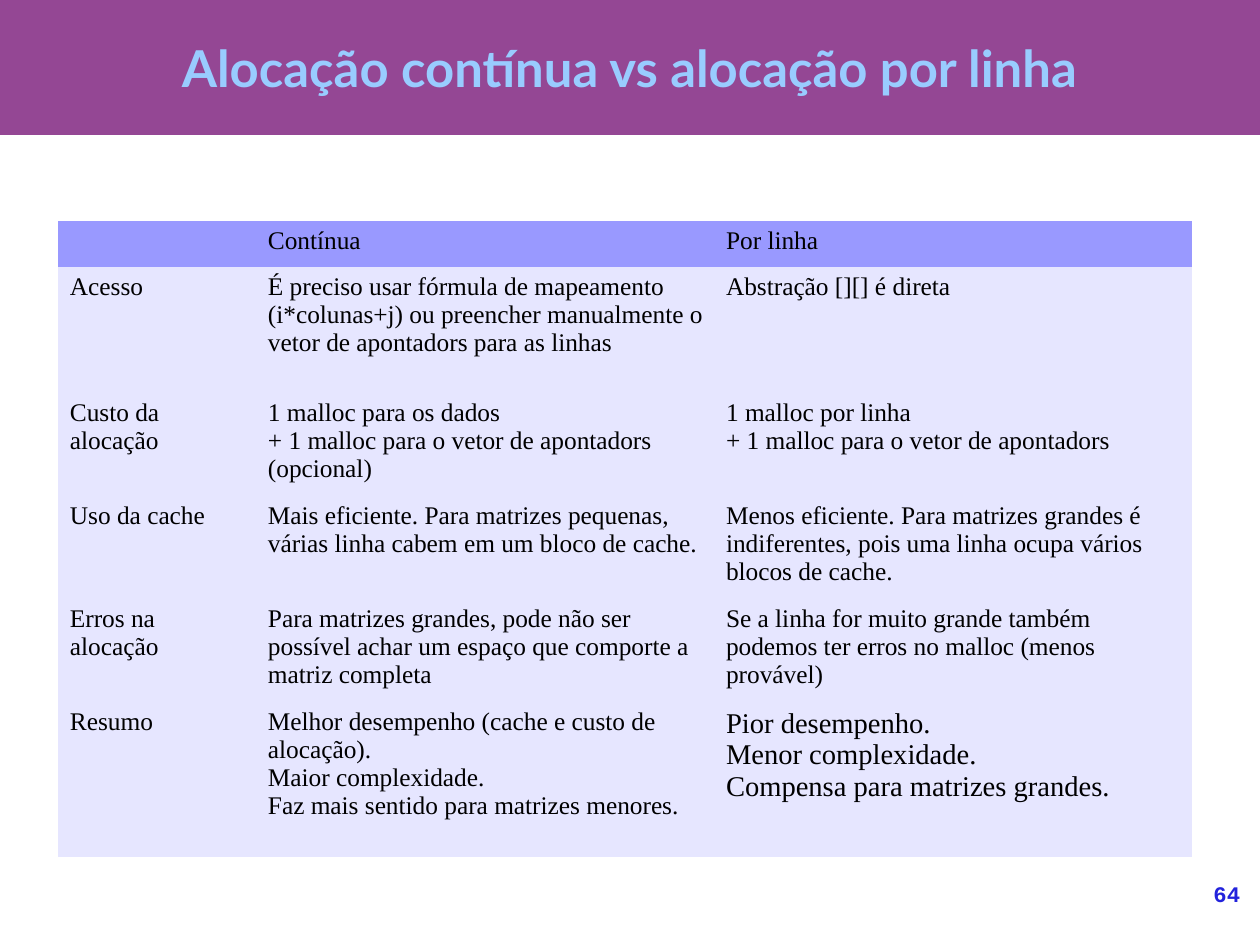
from dataclasses import dataclass

from pptx import Presentation
from pptx.dml.color import RGBColor
from pptx.enum import shapes, text
from pptx.oxml import ns
from pptx.util import Cm, Pt

PLAIN_TABLE_STYLE = "{2D5ABB26-0587-4C30-8999-92F81FD0307C}"


@dataclass(frozen=True)
class Theme:
    banner: str = "944794"
    title: str = "99CCFF"
    header: str = "9999FF"
    body: str = "E6E6FF"
    ink: str = "000000"
    number: str = "2323DC"
    title_font: str = "Lato"
    table_font: str = "Times New Roman"
    number_font: str = "Courier New"
    title_size: int = 32
    table_size: int = 16
    emphasis_size: int = 18
    number_size: int = 14


THEME = Theme()

COLUMN_WIDTHS = (4.4, 10.18, 10.62)
ROW_HEIGHTS = (1, 2.8, 2.29, 2.29, 2.29, 3.44)
COMPARISON = (
    ("", "Contínua", "Por linha"),
    ("Acesso",
     "É preciso usar fórmula de mapeamento (i*colunas+j) ou preencher "
     "manualmente o vetor de apontadors para as linhas",
     "Abstração [][] é direta"),
    ("Custo da alocação",
     "1 malloc para os dados\n+ 1 malloc para o vetor de apontadors (opcional)",
     "1 malloc por linha\n+ 1 malloc para o vetor de apontadors"),
    ("Uso da cache",
     "Mais eficiente. Para matrizes pequenas, várias linha cabem em um bloco de cache.",
     "Menos eficiente. Para matrizes grandes é indiferentes, pois uma linha "
     "ocupa vários blocos de cache."),
    ("Erros na alocação",
     "Para matrizes grandes, pode não ser possível achar um espaço que "
     "comporte a matriz completa",
     "Se a linha for muito grande também podemos ter erros no malloc (menos provável)"),
    ("Resumo",
     "Melhor desempenho (cache e custo de alocação).\nMaior complexidade.\n"
     "Faz mais sentido para matrizes menores.",
     "Pior desempenho.\nMenor complexidade.\nCompensa para matrizes grandes."),
)
EMPHASIS_CELL = (5, 2)


def fill_solid(target, color):
    target.fill.solid()
    target.fill.fore_color.rgb = RGBColor.from_string(color)


def write(frame, content, font, size, color, bold=False, align=text.PP_ALIGN.LEFT):
    """Set the text, one paragraph per line, and format its runs."""
    frame.text = content
    for paragraph in frame.paragraphs:
        paragraph.alignment = align
        for run in paragraph.runs:
            run.font.name = font
            run.font.size = Pt(size)
            run.font.bold = bold
            run.font.color.rgb = RGBColor.from_string(color)


def add_text(slide, box, content, *style, anchor=text.MSO_ANCHOR.TOP, **options):
    frame = slide.shapes.add_textbox(*box).text_frame
    frame.word_wrap = True
    frame.vertical_anchor = anchor
    frame.margin_left = frame.margin_right = 0
    frame.margin_top = frame.margin_bottom = 0
    write(frame, content, *style, **options)


def add_title_banner(slide, box, title):
    left, top, width, height = box
    banner = slide.shapes.add_shape(shapes.MSO_SHAPE.RECTANGLE, *box)
    banner.shadow.inherit = False
    fill_solid(banner, THEME.banner)
    banner.line.fill.background()
    inset = Cm(1.4)
    add_text(slide, (left + inset, top, width - 2 * inset, height), title,
             THEME.title_font, THEME.title_size, THEME.title, bold=True,
             align=text.PP_ALIGN.CENTER, anchor=text.MSO_ANCHOR.MIDDLE)


def add_comparison_table(slide, box):
    graphic = slide.shapes.add_table(len(ROW_HEIGHTS), len(COLUMN_WIDTHS), *box)
    table = graphic.table
    table.horz_banding = False
    next(graphic.element.iter(ns.qn("a:tableStyleId"))).text = PLAIN_TABLE_STYLE
    for column, width in zip(table.columns, COLUMN_WIDTHS):
        column.width = Cm(width)
    for row, height in zip(table.rows, ROW_HEIGHTS):
        row.height = Cm(height)
    for row_index, contents in enumerate(COMPARISON):
        for column_index, content in enumerate(contents):
            cell = table.cell(row_index, column_index)
            fill_solid(cell, THEME.body if row_index else THEME.header)
            emphasized = (row_index, column_index) == EMPHASIS_CELL
            size = THEME.emphasis_size if emphasized else THEME.table_size
            write(cell.text_frame, content, THEME.table_font, size, THEME.ink)


def add_page_number(slide, box, number):
    add_text(slide, box, str(number), THEME.number_font, THEME.number_size,
             THEME.number, bold=True, align=text.PP_ALIGN.RIGHT)


def main():
    presentation = Presentation()
    presentation.slide_width = Cm(28)
    presentation.slide_height = Cm(21)
    slide = presentation.slides.add_slide(presentation.slide_layouts[6])
    add_title_banner(slide, (0, 0, presentation.slide_width, Cm(3)),
                     "Alocação contínua vs alocação por linha")
    add_comparison_table(slide, (Cm(1.3), Cm(4.91), Cm(sum(COLUMN_WIDTHS)),
                                 Cm(sum(ROW_HEIGHTS))))
    add_page_number(slide, (Cm(23.3), Cm(19.56), Cm(4.26), Cm(1.44)), 64)
    presentation.save("out.pptx")


if __name__ == "__main__":
    main()
